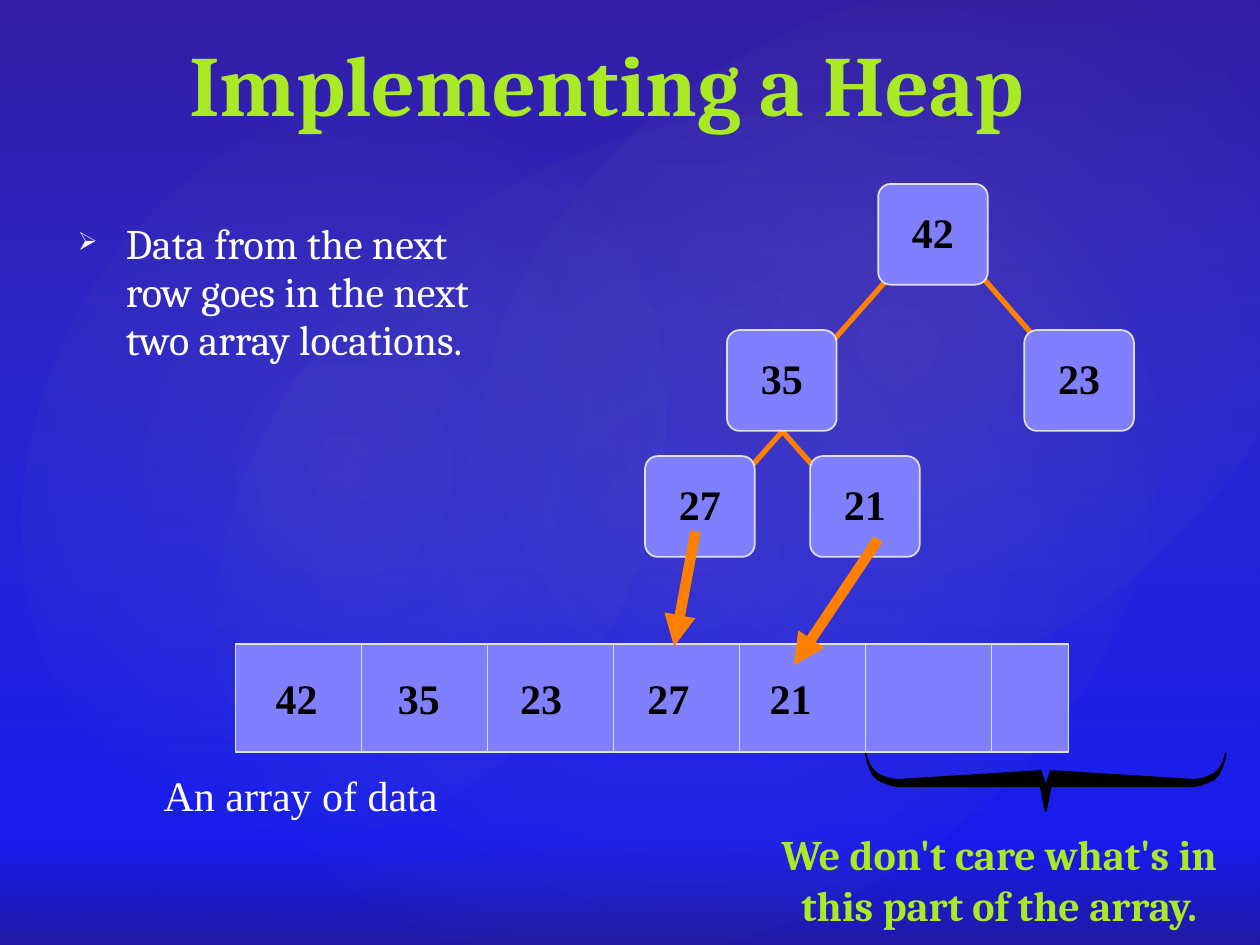
"""Builds the slide on storing a heap in an array."""
import pptx
import pptx.util
import pptx.dml.color
import pptx.enum.shapes
import pptx.enum.text
import pptx.oxml
import pptx.oxml.ns
from pptx.util import Inches, Pt

MAIN_NS = 'xmlns:a="http://schemas.openxmlformats.org/drawingml/2006/main"'
SHAPE = pptx.enum.shapes.MSO_SHAPE
ALIGN = pptx.enum.text.PP_ALIGN
ANCHOR = pptx.enum.text.MSO_ANCHOR
STRAIGHT = pptx.enum.shapes.MSO_CONNECTOR.STRAIGHT
LIME, WHITE, BLACK = "AAEA25", "FFFFFF", "000000"
CELL, EDGE, ORANGE = "8080FF", "E0E0E0", "FF8000"


def paint(fill, colour, element=None, stops=(), direction='<a:lin ang="5400000" scaled="0"/>'):
    """Fill with a colour, or with gradient stops of position, colour and opacity."""
    fill.solid()
    fill.fore_color.rgb = pptx.dml.color.RGBColor.from_string(colour)
    if stops:
        marks = "".join(
            f'<a:gs pos="{pos * 1000}"><a:srgbClr val="{shade}">'
            f'<a:alpha val="{opacity * 1000}"/></a:srgbClr></a:gs>'
            for pos, shade, opacity in stops)
        gradient = pptx.oxml.parse_xml(
            f'<a:gradFill {MAIN_NS} rotWithShape="1"><a:gsLst>{marks}</a:gsLst>{direction}</a:gradFill>')
        solid = next(element.iter(pptx.oxml.ns.qn("a:solidFill")))
        solid.getparent().replace(solid, gradient)


def write(shape, text, size, font, colour, bold=False, align=ALIGN.LEFT,
          anchor=ANCHOR.TOP, spacing=0.95, wrap=True):
    """Put formatted text into a shape."""
    frame = shape.text_frame
    frame.text = text
    frame.word_wrap = wrap
    frame.vertical_anchor = anchor
    for paragraph in frame.paragraphs:
        paragraph.alignment = align
        paragraph.line_spacing = spacing
        for run in paragraph.runs:
            run.font.size = Pt(size)
            run.font.name = font
            run.font.bold = bold
            paint(run.font.fill, colour)


deck = pptx.Presentation()
deck.slide_width, deck.slide_height = Inches(10), Inches(7.5)
slide = deck.slides.add_slide(deck.slide_layouts[6])
shapes = slide.shapes
paint(slide.background.fill, "0000FF", slide._element,
      [(0, "0000FF", 100), (89, "0000FF", 100), (100, "0E02AA", 100)])

round_glow = ('<a:path path="circle"><a:fillToRect l="50000" t="50000" '
              'r="50000" b="50000"/></a:path>')
veil = shapes.add_shape(SHAPE.RECTANGLE, 0, 0, deck.slide_width, deck.slide_height)
veil.shadow.inherit = False
veil.line.fill.background()
paint(veil.fill, "8F5201", veil._element, [(0, "8F5201", 36), (100, "CAF278", 10)])
for left, top, width, height, turn, opacity in [
        (1.5, 1.14, 7.92, 6.24, 328.7, 7),
        (-0.3, 1.28, 6.06, 4.9, 294.3, 8),
        (3.58, 0.13, 7.09, 5.2, 328.7, 8)]:
    glow = shapes.add_shape(SHAPE.OVAL, Inches(left), Inches(top), Inches(width), Inches(height))
    glow.rotation = turn
    glow.shadow.inherit = False
    glow.line.fill.background()
    paint(glow.fill, "FEC67A", glow._element,
          [(0, "FEC67A", opacity), (58, "CAF278", 0)], round_glow)

title = shapes.add_textbox(Inches(0.56), Inches(0.25), Inches(8.5), Inches(0.88))
write(title, "Implementing a Heap", 49, "Cambria", LIME, True, ALIGN.CENTER, ANCHOR.BOTTOM)

body = shapes.add_textbox(Inches(0.5), Inches(1.55), Inches(3.72), Inches(1.93))
write(body, "Data from the next row goes in the next two array locations.",
      24, "Cambria", WHITE, anchor=ANCHOR.MIDDLE)
body.text_frame.margin_bottom = Inches(0.42)
point = body.text_frame.paragraphs[0]
point.space_before = Pt(7)
point_props = point._p.get_or_add_pPr()
point_props.set("marL", str(Inches(0.4)))
point_props.set("indent", str(Inches(-0.38)))
point_props.append(pptx.oxml.parse_xml(f'<a:buSzPct {MAIN_NS} val="60000"/>'))
point_props.append(pptx.oxml.parse_xml(f'<a:buChar {MAIN_NS} char="\u27a2"/>'))

array = shapes.add_shape(SHAPE.RECTANGLE, Inches(1.87), Inches(5.11), Inches(6.61), Inches(0.86))
array.shadow.inherit = False
paint(array.fill, CELL)
paint(array.line.fill, EDGE)
array.line.width = Pt(1)

dividers = [(x + 0.87, 5.11, x + 0.87, 5.97, EDGE, 1, False) for x in range(2, 8)]
branches = [(*ends, ORANGE, 3, False) for ends in [
    (6.03, 3.22, 6.65, 3.92), (6.39, 3.22, 5.77, 3.92),
    (7.77, 2.17, 8.38, 2.87), (7.04, 2.22, 6.42, 2.92)]]
moves = [(5.52, 4.22, 5.35, 5.13, ORANGE, 6, True), (6.97, 4.28, 6.3, 5.28, ORANGE, 6, True)]
nodes = [("42", 6.97, 1.46), ("35", 5.77, 2.62), ("23", 8.13, 2.62),
         ("27", 5.12, 3.62), ("21", 6.43, 3.62)]

for strokes, boxes in [(dividers + branches, nodes), (moves, [])]:
    for x1, y1, x2, y2, colour, weight, arrow in strokes:
        stroke = shapes.add_connector(STRAIGHT, Inches(x1), Inches(y1), Inches(x2), Inches(y2))
        paint(stroke.line.fill, colour)
        stroke.line.width = Pt(weight)
        if arrow:
            stroke.line._get_or_add_ln().append(
                pptx.oxml.parse_xml(f'<a:tailEnd {MAIN_NS} type="triangle"/>'))
        stroke._element.spPr.append(pptx.oxml.parse_xml(f'<a:effectLst {MAIN_NS}/>'))
    for value, left, top in boxes:
        node = shapes.add_shape(SHAPE.ROUNDED_RECTANGLE, Inches(left), Inches(top),
                                Inches(0.87), Inches(0.8))
        node.adjustments[0] = 0.126
        node.shadow.inherit = False
        paint(node.fill, CELL)
        paint(node.line.fill, EDGE)
        node.line.width = Pt(1)
        write(node, value, 24, "Times New Roman", BLACK, True, ALIGN.CENTER, ANCHOR.MIDDLE)

for (value, _, _), left in zip(nodes, [2.09, 3.06, 4.03, 5.04, 6.01]):
    entry = shapes.add_textbox(Inches(left), Inches(5.32), Inches(0.53), Inches(0.5))
    write(entry, value, 24, "Times New Roman", BLACK, True, wrap=False)

caption = shapes.add_textbox(Inches(1.2), Inches(6.09), Inches(2.39), Inches(0.47))
write(caption, "An array of data", 24, "Times New Roman", WHITE, spacing=0.93, wrap=False)

middle = 830
right_half = [(834, 624), (948, 624), (953, 623), (958, 621), (963, 619),
              (967, 615), (969, 611), (971, 606), (973, 598), (971, 605),
              (968, 610), (964, 614), (960, 616), (955, 618), (948, 619), (834, 612)]
left_half = [(2 * middle - x, y) for x, y in reversed(right_half)]
outline = shapes.build_freeform(middle, 644, scale=Inches(0.01))
outline.add_line_segments(right_half + [(middle, 624)] + left_half, close=True)
brace = outline.convert_to_shape()
brace.shadow.inherit = False
paint(brace.fill, BLACK)
paint(brace.line.fill, BLACK)
brace.line.width = Pt(1)

remark = shapes.add_textbox(Inches(5.94), Inches(6.56), Inches(3.98), Inches(0.88))
write(remark, "We don't care what's in\nthis part of the array.", 24, "Cambria", LIME, True,
      ALIGN.CENTER, spacing=0.93)
remark.text_frame.paragraphs[1].line_spacing = 1.0

deck.save("out.pptx")
